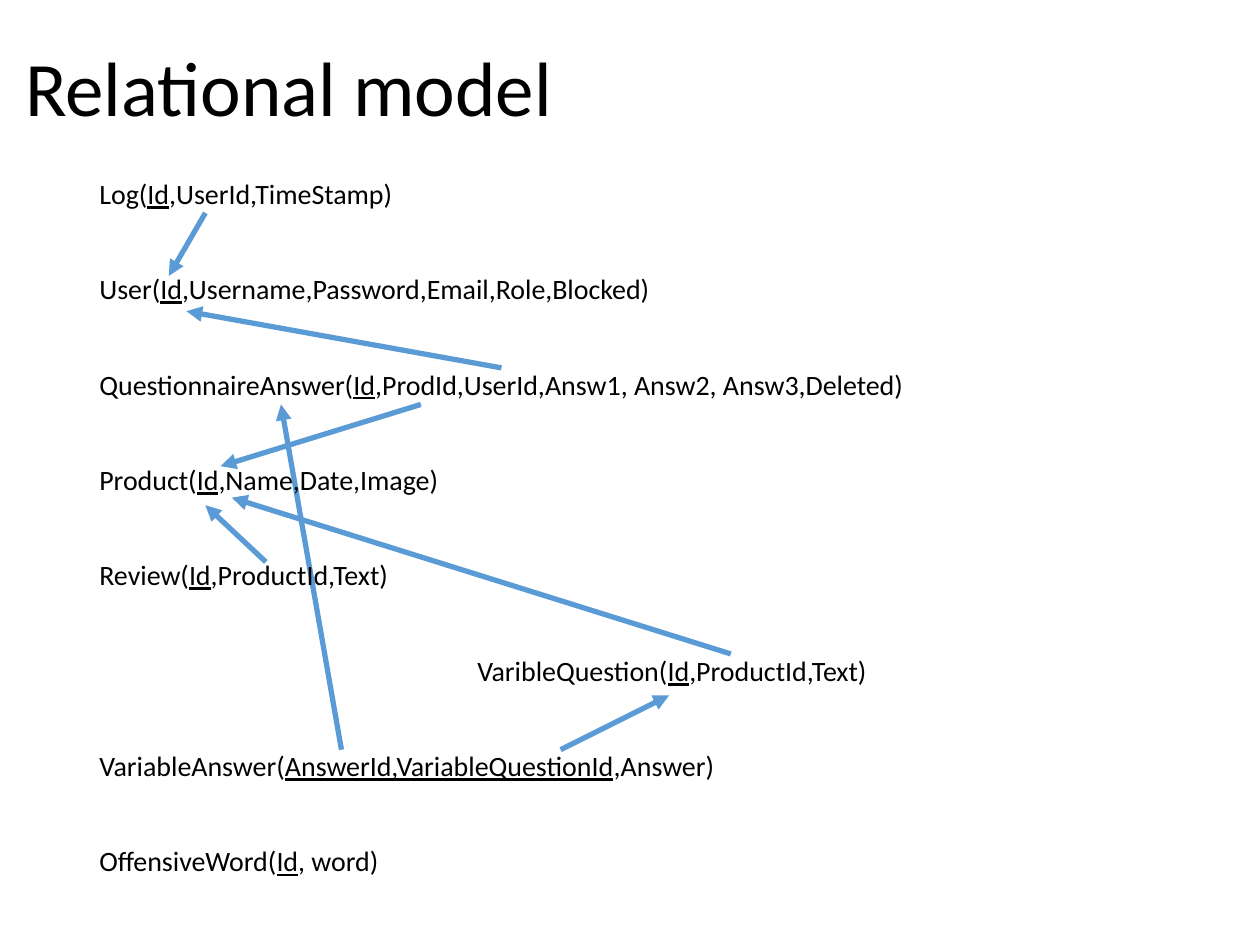
"""Build the relational model slide with its tables and foreign key arrows."""
from dataclasses import dataclass

import lxml.etree
import pptx
import pptx.dml.color
import pptx.enum.shapes
import pptx.enum.text
import pptx.oxml.ns
import pptx.presentation
import pptx.slide
import pptx.text.text
import pptx.util


@dataclass(frozen=True)
class Theme:
    font: str = "Calibri"
    ink: str = "000000"
    arrow: str = "5B9BD5"
    title_size: float = 44
    body_size: float = 16
    arrow_width: float = 3
    line_spacing: float = 0.9
    space_before: float = 10
    space_after: float = 27.25


@dataclass(frozen=True)
class Grid:
    columns: int = 100
    rows: int = 75
    cell: float = 0.1

    def length(self, cells: float) -> pptx.util.Length:
        return pptx.util.Inches(cells * self.cell)


@dataclass(frozen=True)
class Area:
    column: float
    row: float
    columns: float
    rows: float


@dataclass(frozen=True)
class Relation:
    name: str
    key: str
    attributes: str
    indent: float = 0


@dataclass(frozen=True)
class Reference:
    start: tuple[float, float]
    end: tuple[float, float]


THEME = Theme()
GRID = Grid()
TITLE_AREA = Area(1, 0, 86.2, 14.5)
RELATIONS_AREA = Area(6.9, 13.8, 91.9, 61.2)

RELATIONS = [
    Relation("Log", "Id", ",UserId,TimeStamp"),
    Relation("User", "Id", ",Username,Password,Email,Role,Blocked"),
    Relation("QuestionnaireAnswer", "Id", ",ProdId,UserId,Answ1, Answ2, Answ3,Deleted"),
    Relation("Product", "Id", ",Name,Date,Image"),
    Relation("Review", "Id", ",ProductId,Text"),
    Relation("VaribleQuestion", "Id", ",ProductId,Text", indent=30),
    Relation("VariableAnswer", "AnswerId,VariableQuestionId", ",Answer"),
    Relation("OffensiveWord", "Id", ", word"),
]

ANSWER_REFERENCE = Reference((27.1, 59.5), (22.3, 32.1))
REFERENCES = [
    Reference((39.8, 29.2), (14.8, 24.7)),
    Reference((16.3, 16.9), (13.4, 21.9)),
    Reference((33.4, 32.1), (17.5, 37)),
    Reference((21.1, 44.6), (16.3, 40.1)),
    Reference((44.5, 59.5), (53.1, 55.2)),
    Reference((58, 51.9), (18.4, 39.5)),
]


def add_text_frame(page: pptx.slide.Slide, area: Area) -> pptx.text.text.TextFrame:
    """Add a wrapping text box and return its frame."""
    box = page.shapes.add_textbox(
        *map(GRID.length, (area.column, area.row, area.columns, area.rows))
    )
    box.text_frame.word_wrap = True
    return box.text_frame


def style_paragraph(para: pptx.text.text._Paragraph, size: float) -> None:
    """Apply the theme's font and line spacing."""
    para.font.name = THEME.font
    para.font.size = pptx.util.Pt(size)
    para.font.color.rgb = pptx.dml.color.RGBColor.from_string(THEME.ink)
    para.line_spacing = THEME.line_spacing


def add_title(page: pptx.slide.Slide, text: str) -> None:
    """Add the slide heading."""
    frame = add_text_frame(page, TITLE_AREA)
    frame.vertical_anchor = pptx.enum.text.MSO_ANCHOR.MIDDLE
    para = frame.paragraphs[0]
    para.text = text
    style_paragraph(para, THEME.title_size)


def add_relations(page: pptx.slide.Slide, relations: list[Relation]) -> None:
    """List the relations with their primary keys underlined."""
    frame = add_text_frame(page, RELATIONS_AREA)
    for index, relation in enumerate(relations):
        para = frame.add_paragraph() if index else frame.paragraphs[0]
        style_paragraph(para, THEME.body_size)
        para.space_before = pptx.util.Pt(THEME.space_before)
        para.space_after = pptx.util.Pt(THEME.space_after)
        if relation.indent:
            properties = para._p.get_or_add_pPr()
            properties.set("marL", str(GRID.length(relation.indent)))
        para.add_run().text = f"{relation.name}("
        key = para.add_run()
        key.text = relation.key
        key.font.underline = True
        para.add_run().text = f"{relation.attributes})"


def add_reference(page: pptx.slide.Slide, reference: Reference) -> None:
    """Draw a foreign key arrow."""
    arrow = page.shapes.add_connector(
        pptx.enum.shapes.MSO_CONNECTOR.STRAIGHT,
        *map(GRID.length, reference.start + reference.end),
    )
    arrow.line.color.rgb = pptx.dml.color.RGBColor.from_string(THEME.arrow)
    arrow.line.width = pptx.util.Pt(THEME.arrow_width)
    head = lxml.etree.SubElement(
        arrow.line._get_or_add_ln(), pptx.oxml.ns.qn("a:tailEnd")
    )
    head.set("type", "triangle")
    lxml.etree.SubElement(arrow._element.spPr, pptx.oxml.ns.qn("a:effectLst"))


def build_deck() -> pptx.presentation.Presentation:
    """Create the deck with its single slide."""
    deck = pptx.Presentation()
    deck.slide_width = GRID.length(GRID.columns)
    deck.slide_height = GRID.length(GRID.rows)
    page = deck.slides.add_slide(deck.slide_layouts[6])
    add_reference(page, ANSWER_REFERENCE)
    add_title(page, "Relational model")
    add_relations(page, RELATIONS)
    for reference in REFERENCES:
        add_reference(page, reference)
    return deck


build_deck().save("out.pptx")
